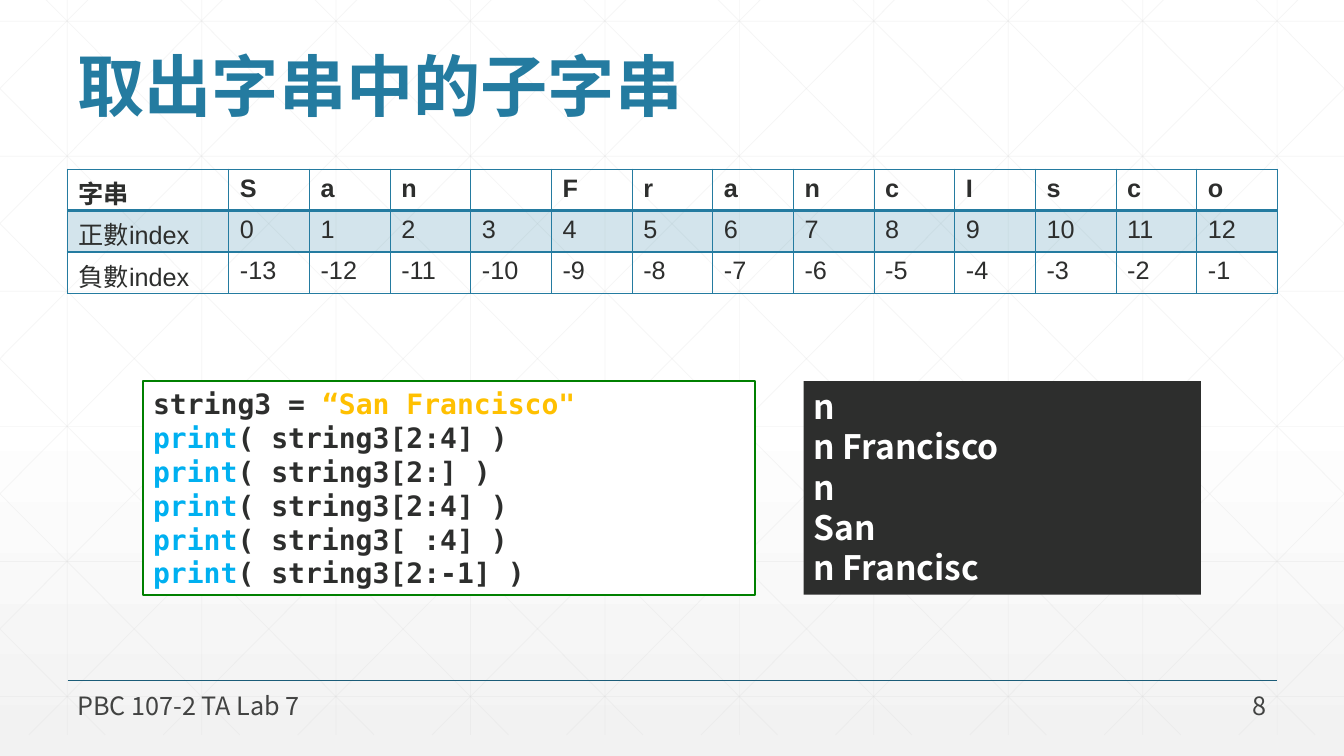
import copy

import lxml.etree
import pptx
import pptx.dml.color
import pptx.enum.shapes
import pptx.enum.text
import pptx.oxml.ns
import pptx.util

Inches = pptx.util.Inches
Pt = pptx.util.Pt
RGBColor = pptx.dml.color.RGBColor
Anchor = pptx.enum.text.MSO_ANCHOR
Align = pptx.enum.text.PP_ALIGN
qn = pptx.oxml.ns.qn

TEAL = RGBColor(0x24, 0x7B, 0xA0)
DARK_TEAL = RGBColor(0x1B, 0x5C, 0x78)
INK = RGBColor(0x2D, 0x2E, 0x2D)
FOOTER_GRAY = RGBColor(0x42, 0x43, 0x42)
GRID_GRAY = RGBColor(0xD9, 0xD9, 0xD9)
PALE_GRAY = RGBColor(0xF2, 0xF2, 0xF2)
WHITE = RGBColor(0xFF, 0xFF, 0xFF)
GREEN = RGBColor(0x00, 0x80, 0x00)
STRING_YELLOW = RGBColor(0xFF, 0xC0, 0x00)
PRINT_BLUE = RGBColor(0x00, 0xB0, 0xF0)

SANS = "Noto Sans CJK TC"
MONO = "DejaVu Sans Mono"
WIDTH, HEIGHT = 13.33, 7.5
GRID_TOP, GRID_BOTTOM = -0.21, 7.29
GRID_STEP = 4 / 3

LETTERS = ["S", "a", "n", "", "F", "r", "a", "n", "c", "I", "s", "c", "o"]
SLICES = ["2:4", "2:", "2:4", " :4", "2:-1"]
OUTPUT = ["n", "n Francisco", "n", "San", "n Francisc"]


def write_text(frame, paragraphs, *, size, color, font=SANS, bold=False,
               align=Align.LEFT, anchor=Anchor.TOP, spacing=None):
    """Fill a frame; each paragraph is a list of (text, colour or None) runs."""
    frame.word_wrap = True
    frame.vertical_anchor = anchor
    for index, runs in enumerate(paragraphs):
        paragraph = frame.add_paragraph() if index else frame.paragraphs[0]
        paragraph.alignment = align
        paragraph.line_spacing = spacing
        for text, run_color in runs:
            run = paragraph.add_run()
            run.text = text
            run.font.name = font
            run.font.size = Pt(size)
            run.font.bold = bold
            run.font.color.rgb = run_color or color
            east_asian = lxml.etree.SubElement(run.font._element, qn("a:ea"))
            east_asian.set("typeface", SANS)


def add_text(slide, text, left, top, width, height, **text_format):
    box = slide.shapes.add_textbox(
        Inches(left), Inches(top), Inches(width), Inches(height))
    write_text(box.text_frame, [[(text, None)]], **text_format)


def add_panel(slide, left, width, fill, line, paragraphs, **text_format):
    panel = slide.shapes.add_shape(
        pptx.enum.shapes.MSO_SHAPE.RECTANGLE,
        Inches(left), Inches(3.78), Inches(width), Inches(2.12))
    panel.shadow.inherit = False
    panel.fill.solid()
    panel.fill.fore_color.rgb = fill
    if line is None:
        panel.line.fill.background()
    else:
        panel.line.color.rgb = line
        panel.line.width = Pt(1.5)
    write_text(panel.text_frame, paragraphs, **text_format)


def set_alpha(fill_parent, percent):
    color = next(fill_parent.iter(qn("a:srgbClr")))
    alpha = lxml.etree.SubElement(color, qn("a:alpha"))
    alpha.set("val", str(percent * 1000))


def add_line(shapes, start, end, color, width, opacity=100):
    line = shapes.add_connector(
        pptx.enum.shapes.MSO_CONNECTOR.STRAIGHT,
        *[Inches(value) for value in (*start, *end)])
    line.line.color.rgb = color
    line.line.width = Pt(width)
    if opacity < 100:
        set_alpha(line.line._ln, opacity)
    lxml.etree.SubElement(line._element.spPr, qn("a:effectLst"))


def set_background(slide):
    fill = slide.background.fill
    fill.gradient()
    fill.gradient_angle = 270
    first_stop = next(slide.background._cSld.iter(qn("a:gs")))
    first_stop.addnext(copy.deepcopy(first_stop))
    stops = [(0, WHITE), (0.53, WHITE), (1, PALE_GRAY)]
    for stop, (position, color) in zip(fill.gradient_stops, stops):
        stop.position = position
        stop.color.rgb = color


def add_grid(slide):
    """Draw the faint square grid with diagonals cut at the slide's sides."""
    shapes = slide.shapes.add_group_shape().shapes
    lines = []
    for column in range(10):
        x = GRID_STEP * (column + 0.5)
        lines.append(((x, GRID_TOP), (x, GRID_BOTTOM)))
    for row in range(6):
        y = 0.21 + 1.34 * row
        lines.append(((0, y), (WIDTH, y)))
    run = 7.46
    slope = (GRID_BOTTOM - GRID_TOP) / run
    for step in range(-5, 10):
        x = 0.25 + GRID_STEP * step
        left, right = max(x, 0), min(x + run, WIDTH)
        top = GRID_TOP + (left - x) * slope
        bottom = GRID_TOP + (right - x) * slope
        lines.append(((left, top), (right, bottom)))
        lines.append(((WIDTH - left, top), (WIDTH - right, bottom)))
    for start, end in lines:
        add_line(shapes, start, end, GRID_GRAY, 0.5, opacity=25)


def set_cell_borders(cell, **widths):
    properties = cell._tc.get_or_add_tcPr()
    for side in "LRTB":
        line = lxml.etree.SubElement(properties, qn(f"a:ln{side}"))
        line.set("w", str(Pt(widths.get(side, 1))))
        fill = lxml.etree.SubElement(line, qn("a:solidFill"))
        lxml.etree.SubElement(fill, qn("a:srgbClr")).set("val", str(TEAL))


def add_index_table(slide):
    count = len(LETTERS)
    rows = [["字串", *LETTERS],
            ["正數index", *range(count)],
            ["負數index", *range(-count, 0)]]
    table = slide.shapes.add_table(
        len(rows), count + 1, Inches(0.67), Inches(1.68),
        Inches(12), Inches(1.22)).table
    table.first_row = table.horz_banding = False
    for index, column in enumerate(table.columns):
        column.width = Inches(0.8 if index else 1.6)
    borders = [{"B": 2}, {"T": 2}, {}]
    for row_index, values in enumerate(rows):
        table.rows[row_index].height = Inches(0.41)
        for column_index, value in enumerate(values):
            cell = table.cell(row_index, column_index)
            cell.margin_left = cell.margin_right = Inches(0.11)
            set_cell_borders(cell, **borders[row_index])
            if row_index == 1:
                cell.fill.solid()
                cell.fill.fore_color.rgb = TEAL
                set_alpha(cell._tc.tcPr.find(qn("a:solidFill")), 20)
            else:
                cell.fill.background()
            if value != "":
                write_text(cell.text_frame, [[(str(value), None)]], size=18,
                           color=INK, font="Arial", bold=row_index == 0)


def main():
    presentation = pptx.Presentation()
    presentation.slide_width = Inches(WIDTH)
    presentation.slide_height = Inches(HEIGHT)
    slide = presentation.slides.add_slide(presentation.slide_layouts[6])
    set_background(slide)
    add_grid(slide)
    add_line(slide.shapes, (0.67, 6.75), (12.67, 6.75), DARK_TEAL, 1)
    add_text(slide, "取出字串中的子字串", 0.67, 0.22, 12, 1.08, size=48,
             color=TEAL, bold=True, anchor=Anchor.BOTTOM, spacing=0.9)
    add_index_table(slide)
    add_text(slide, "PBC 107-2 TA Lab 7", 0.67, 6.88, 6.7, 0.24, size=18,
             color=FOOTER_GRAY, anchor=Anchor.MIDDLE)
    add_text(slide, "8", 11.66, 6.88, 1, 0.24, size=18, color=FOOTER_GRAY,
             anchor=Anchor.MIDDLE, align=Align.RIGHT)
    add_panel(slide, 7.97, 3.94, INK, None, [[(text, None)] for text in OUTPUT],
              size=24, color=WHITE, bold=True, spacing=Pt(28.8))
    code = [[("string3 = ", None), ("“San Francisco\"", STRING_YELLOW)]]
    code += [[("print", PRINT_BLUE), (f"( string3[{part}] )", None)]
             for part in SLICES]
    add_panel(slide, 1.42, 6.07, WHITE, GREEN, code, size=20, color=INK,
              font=MONO, bold=True, anchor=Anchor.MIDDLE, spacing=Pt(24.2))
    presentation.save("out.pptx")


if __name__ == "__main__":
    main()
